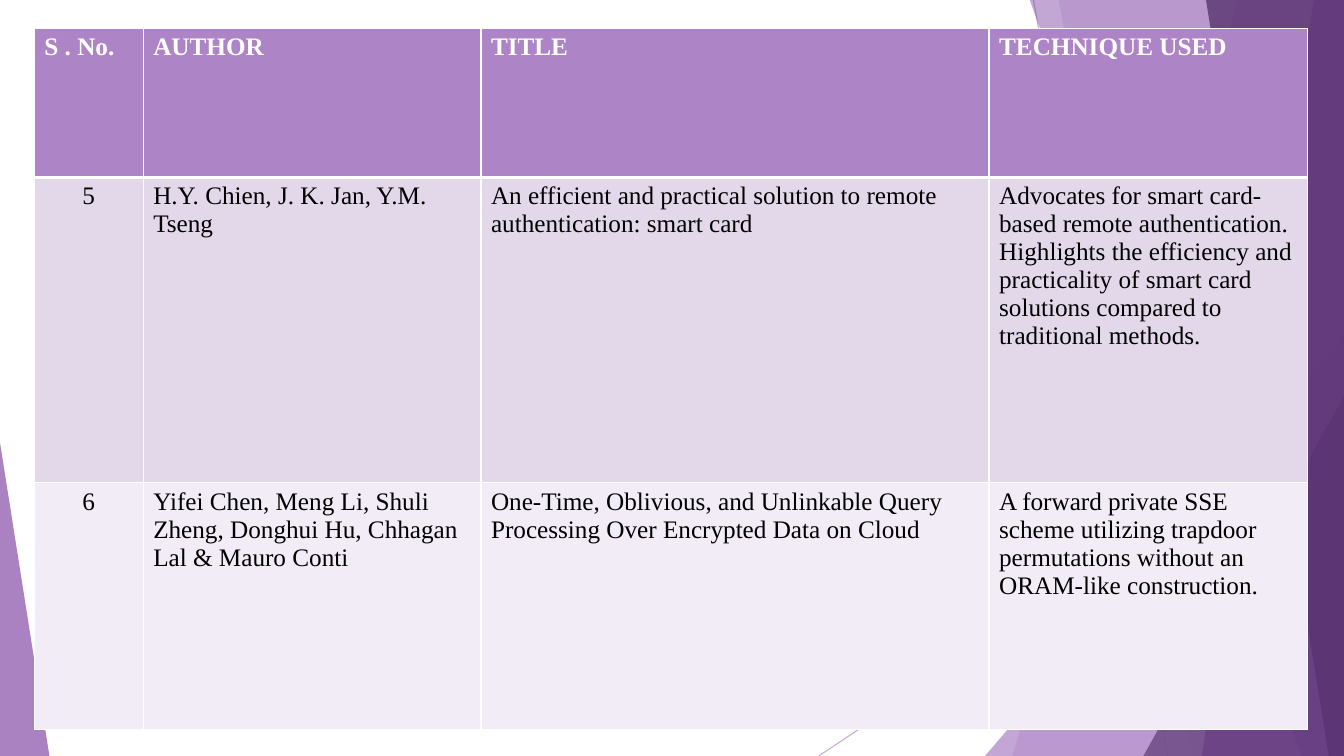
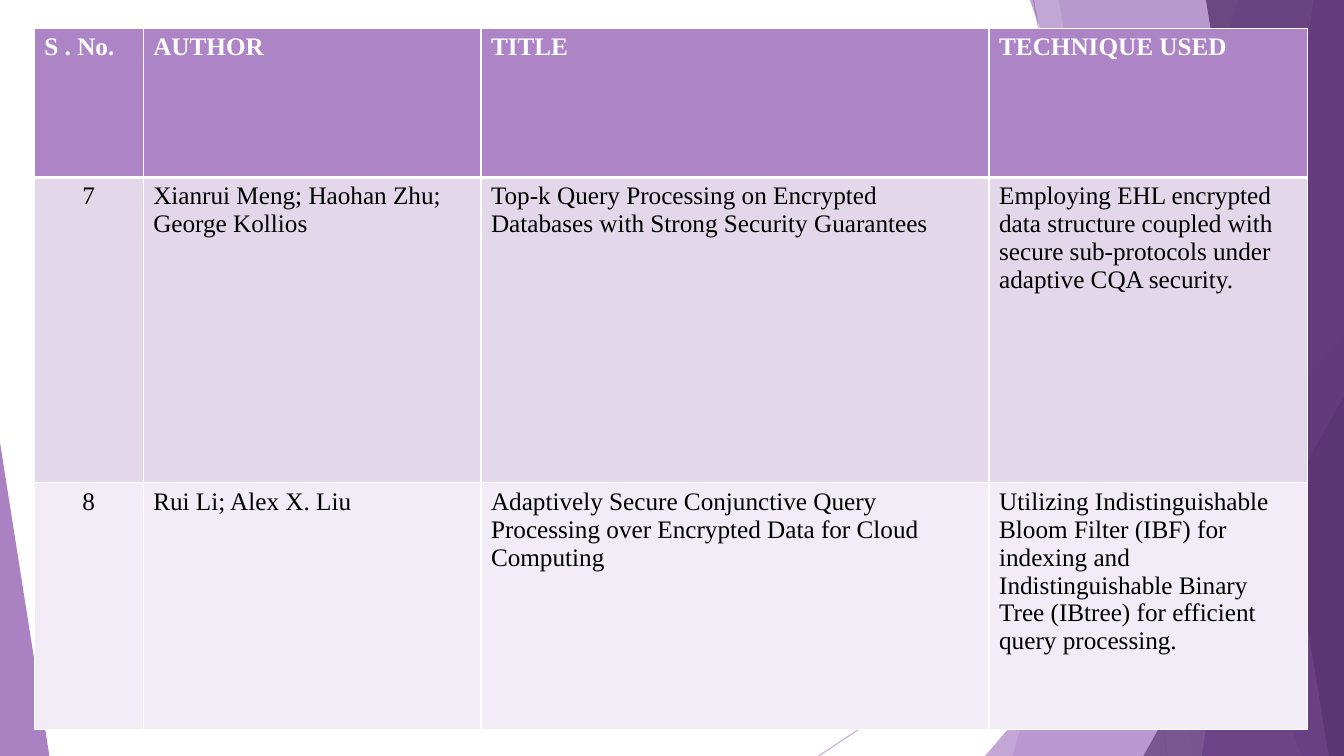
"""Build two literature survey slides over a shared faceted background."""
import lxml.etree
import pptx
import pptx.dml.color
import pptx.enum.shapes
import pptx.enum.text
import pptx.oxml.ns
import pptx.util

PX = 9144
WIDTH, HEIGHT = 1333, 750
FONT = "Times New Roman"
TEXT_SIZE = 18
WHITE, BLACK = "FFFFFF", "000000"
LILAC, VIOLET, PLUM = "AD84C6", "864EA9", "593470"
ROW_FILLS = [LILAC, "E2D8EA", "F1ECF5"]

TABLE_LEFT, TABLE_TOP = 34, 28
COLUMN_WIDTHS = [108, 335, 504, 316]
ROW_HEIGHTS = [148, 303, 245]
HEADER = ["S . No.", "AUTHOR", "TITLE", "TECHNIQUE USED"]
SURVEYS = [
    [
        ["5", "H.Y. Chien, J. K. Jan, Y.M. Tseng",
         "An efficient and practical solution to remote authentication: smart card",
         "Advocates for smart card-based remote authentication. Highlights the efficiency "
         "and practicality of smart card solutions compared to traditional methods."],
        ["6", "Yifei Chen, Meng Li, Shuli Zheng, Donghui Hu, Chhagan Lal & Mauro Conti",
         "One-Time, Oblivious, and Unlinkable Query Processing Over Encrypted Data on Cloud",
         "A forward private SSE scheme utilizing trapdoor permutations without an "
         "ORAM-like construction."],
    ],
    [
        ["7", "Xianrui Meng; Haohan Zhu; George Kollios",
         "Top-k Query Processing on Encrypted Databases with Strong Security Guarantees",
         "Employing EHL encrypted data structure coupled with secure sub-protocols under "
         "adaptive CQA security."],
        ["8", "Rui Li; Alex X. Liu",
         "Adaptively Secure Conjunctive Query Processing over Encrypted Data for Cloud Computing",
         "Utilizing Indistinguishable Bloom Filter (IBF) for indexing and Indistinguishable "
         "Binary Tree (IBtree) for efficient query processing."],
    ],
]


def emu(*lengths):
    """Turn px lengths into EMU."""
    return [pptx.util.Emu(length * PX) for length in lengths]


def color(value):
    """Turn a hex string into a colour."""
    return pptx.dml.color.RGBColor.from_string(value)


def add_child(parent, name, **attributes):
    """Append a DrawingML element."""
    return lxml.etree.SubElement(parent, pptx.oxml.ns.qn(name), attributes)


def paint(fill, value, holder, opacity):
    """Set a solid fill and its opacity in percent."""
    fill.solid()
    fill.fore_color.rgb = color(value)
    tint = next(holder.iter(pptx.oxml.ns.qn("a:srgbClr")))
    add_child(tint, "a:alpha", val=str(opacity * 1000))


def finish_facet(shape, value, opacity):
    """Give a facet its translucent fill without outline or shadow."""
    shape.shadow.inherit = False
    paint(shape.fill, value, shape.element.spPr, opacity)
    shape.line.fill.background()


def add_ray(slide, start, end):
    """Draw a thin background line."""
    ray = slide.shapes.add_connector(
        pptx.enum.shapes.MSO_CONNECTOR.STRAIGHT, *emu(*start, *end))
    ray.line.width = pptx.util.Pt(0.75)
    properties = ray.element.spPr
    paint(ray.line.fill, LILAC, properties, 70)
    add_child(properties, "a:effectLst")


def add_band(slide, top_left, bottom_left, value, opacity):
    """Draw a slanted band reaching the right edge of the slide."""
    builder = slide.shapes.build_freeform(top_left, -1, scale=PX)
    builder.add_line_segments([(WIDTH, -1), (WIDTH, HEIGHT), (bottom_left, HEIGHT)])
    finish_facet(builder.convert_to_shape(), value, opacity)


def add_corner(slide, left, top, width, apex, value, opacity):
    """Draw a triangle standing on the bottom edge of the slide."""
    corner = slide.shapes.add_shape(
        pptx.enum.shapes.MSO_SHAPE.ISOSCELES_TRIANGLE,
        *emu(left, top, width, HEIGHT - top))
    corner.adjustments[0] = apex
    finish_facet(corner, value, opacity)


def draw_background(slide):
    """Draw the rays and facets from back to front."""
    add_ray(slide, (1025, 0), (1158, HEIGHT))
    add_ray(slide, (WIDTH, 403), (812, HEIGHT))
    add_band(slide, 1228, 1004, LILAC, 36)
    add_band(slide, 1050, 1183, LILAC, 20)
    add_corner(slide, 977, 333, 356, 1, LILAC, 72)
    add_band(slide, 1021, 1291, VIOLET, 50)
    add_band(slide, 1303, 1192, VIOLET, 70)
    add_band(slide, 1196, 1318, PLUM, 80)
    add_corner(slide, 1134, 393, 199, 1, PLUM, 66)
    add_corner(slide, 0, 439, 49, 0, VIOLET, 70)


def share_background(layout, slide):
    """Draw the background once and move it into the layout."""
    for placeholder in list(layout.placeholders):
        layout.shapes.element.remove(placeholder.element)
    draw_background(slide)
    for shape in list(slide.shapes):
        layout.shapes.element.append(shape.element)


def set_borders(cell, top, bottom):
    """Draw white cell borders, with top and bottom widths in points."""
    properties = cell._tc.get_or_add_tcPr()
    for side, width in (("L", 1), ("R", 1), ("T", top), ("B", bottom)):
        border = add_child(properties, "a:ln" + side, w=str(pptx.util.Pt(width)))
        add_child(add_child(border, "a:solidFill"), "a:srgbClr", val=WHITE)


def fill_cell(cell, text, row, column):
    """Write and format one table cell."""
    is_header = row == 0
    set_borders(cell, 3 if row == 1 else 1, 3 if is_header else 1)
    cell.fill.solid()
    cell.fill.fore_color.rgb = color(ROW_FILLS[row])
    para = cell.text_frame.paragraphs[0]
    if column == 0 and not is_header:
        para.alignment = pptx.enum.text.PP_ALIGN.CENTER
    span = para.add_run()
    span.text = text
    span.font.name = FONT
    span.font.size = pptx.util.Pt(TEXT_SIZE)
    span.font.bold = is_header
    span.font.color.rgb = color(WHITE if is_header else BLACK)


def add_survey(slide, entries):
    """Add the survey table with its header row."""
    rows = [HEADER, *entries]
    table = slide.shapes.add_table(
        len(rows), len(HEADER),
        *emu(TABLE_LEFT, TABLE_TOP, sum(COLUMN_WIDTHS), sum(ROW_HEIGHTS))).table
    table.horz_banding = False
    for column, width in zip(table.columns, emu(*COLUMN_WIDTHS)):
        column.width = width
    for row, height in zip(table.rows, emu(*ROW_HEIGHTS)):
        row.height = height
    for row, texts in enumerate(rows):
        for column, text in enumerate(texts):
            fill_cell(table.cell(row, column), text, row, column)


def main():
    """Build and save the deck."""
    deck = pptx.Presentation()
    deck.slide_width, deck.slide_height = emu(WIDTH, HEIGHT)
    layout = deck.slide_layouts[6]
    pages = [deck.slides.add_slide(layout) for _ in SURVEYS]
    share_background(layout, pages[0])
    for page, entries in zip(pages, SURVEYS):
        add_survey(page, entries)
    deck.save("out.pptx")


if __name__ == "__main__":
    main()
